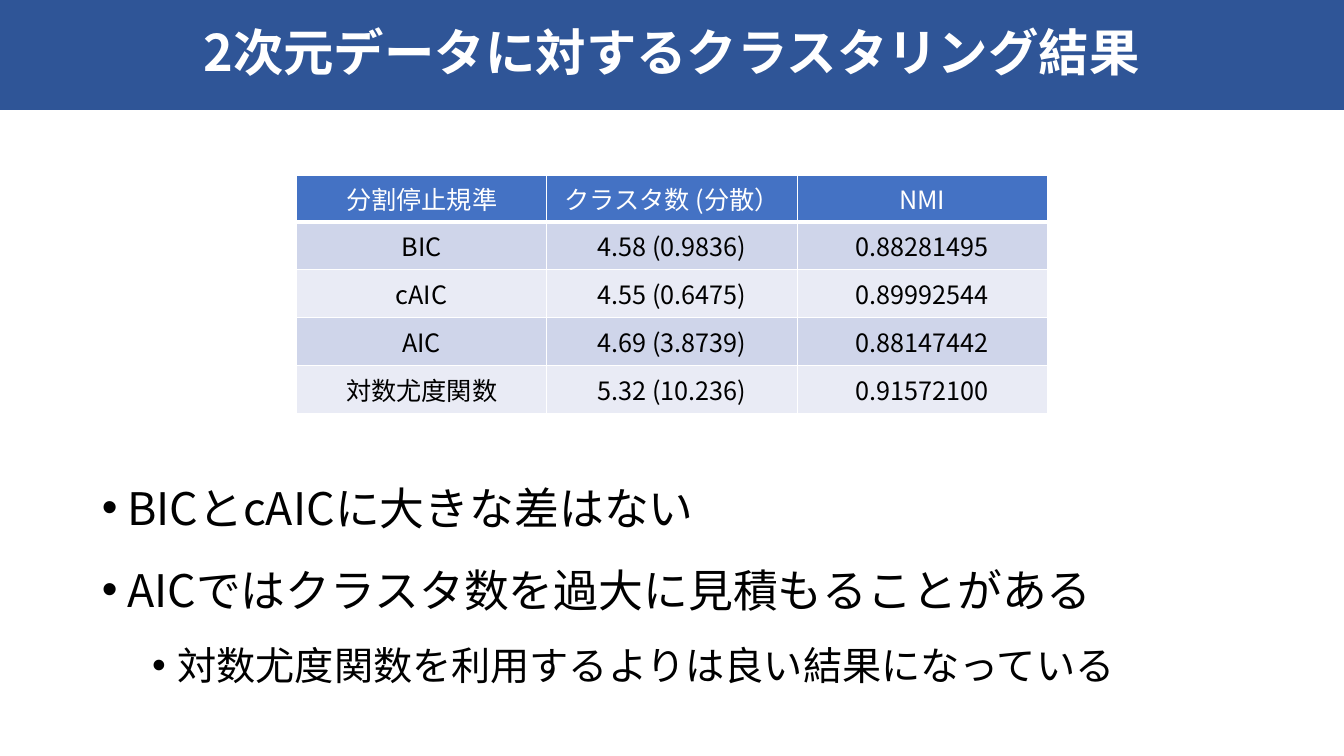
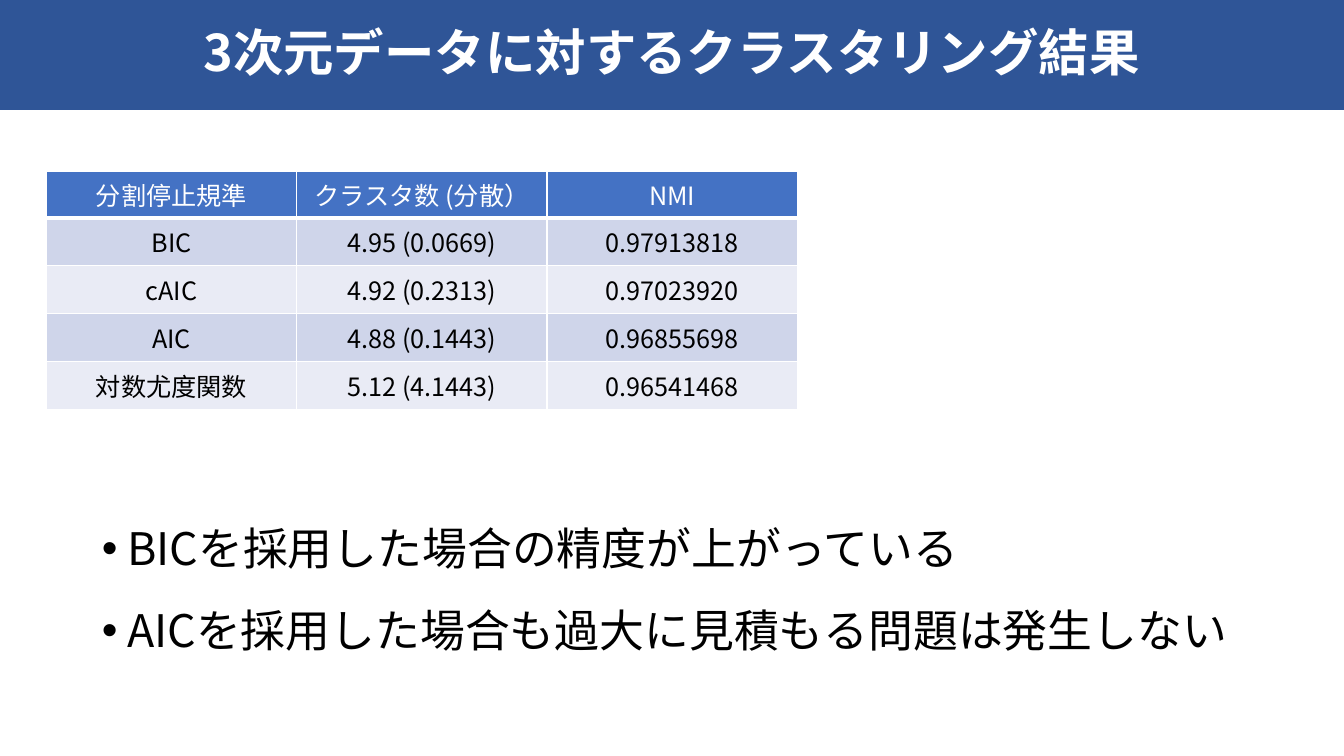
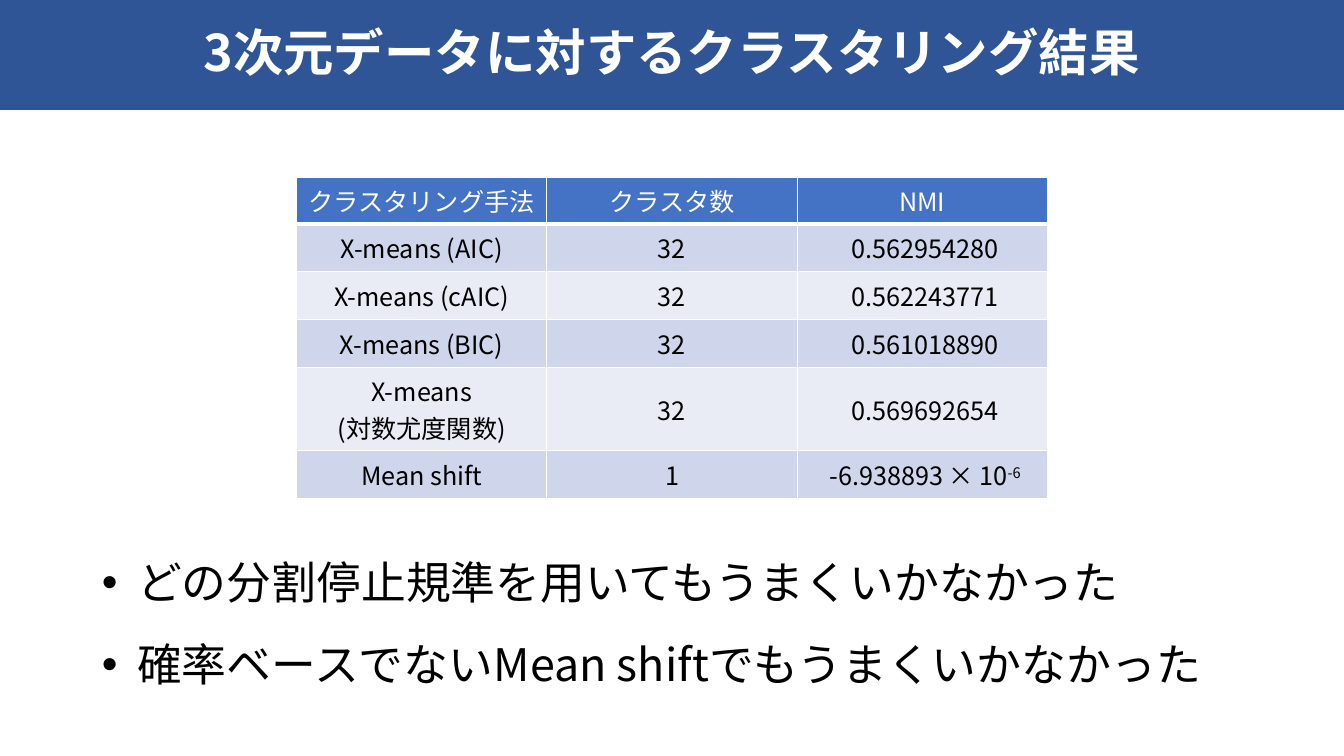
from lxml import etree
from pptx import Presentation
from pptx.dml.color import RGBColor
from pptx.enum.shapes import MSO_SHAPE
from pptx.enum.text import MSO_ANCHOR as ANCHOR, MSO_AUTO_SIZE as AUTO, PP_ALIGN as ALIGN
from pptx.oxml.ns import qn
from pptx.util import Inches, Pt


def rgb(value):
    return RGBColor.from_string(value)


def place(sp, left, top, width, height):
    sp.left, sp.top = Inches(left), Inches(top)
    sp.width, sp.height = Inches(width), Inches(height)


class Deck:
    FONT = "Noto Sans CJK JP"
    WHITE, BLACK = "FFFFFF", "000000"
    BAND, HEADER = "2F5597", "4472C4"
    STRIPES = ("E9EBF5", "CFD5EA")
    MARGIN, CONTENT_W = 0.91, 11.5
    TABLE_W, HEAD_H, ROW_H = 7.45, 0.45, 0.475
    # size and left indent for each list level
    LEVELS = ((32, 0.25), (28, 0.75))

    def __init__(self):
        self.prs = Presentation()
        self.prs.slide_width, self.prs.slide_height = Inches(13.33), Inches(7.5)
        self.layout = self.prs.slide_layouts[1]
        self.slide = None

    def style(self, p, size, color, bold=False):
        for r in p.runs:
            r.font.size, r.font.bold = Pt(size), bold
            r.font.color.rgb = rgb(color)
            r.font.name = self.FONT
            east = etree.SubElement(r._r.get_or_add_rPr(), qn("a:ea"))
            east.set("typeface", self.FONT)

    def band(self):
        """Draw the title band and move it to the back of the shared layout."""
        sp = self.slide.shapes.add_shape(
            MSO_SHAPE.RECTANGLE, 0, 0, self.prs.slide_width, Inches(1.09))
        sp.shadow.inherit = False
        sp.fill.solid()
        sp.fill.fore_color.rgb = rgb(self.BAND)
        sp.line.fill.background()
        self.layout.shapes.element.insert(2, sp.element)

    def new_slide(self, title):
        first = self.slide is None
        self.slide = self.prs.slides.add_slide(self.layout)
        if first:
            self.band()
        sp = self.slide.shapes.title
        place(sp, self.MARGIN, 0.2, self.CONTENT_W, 0.7)
        tf = sp.text_frame
        tf.text = title
        tf.auto_size, tf.vertical_anchor = AUTO.NONE, ANCHOR.MIDDLE
        p = tf.paragraphs[0]
        p.alignment, p.line_spacing = ALIGN.CENTER, 0.9
        self.style(p, 36, self.WHITE, bold=True)

    def bullets(self, top, height, items, hang=0.25):
        """Fill the body with (level, text) items."""
        sp = self.slide.placeholders[1]
        place(sp, self.MARGIN, top, self.CONTENT_W, height)
        tf = sp.text_frame
        tf.text = "\n".join(text for _, text in items)
        tf.auto_size, tf.vertical_anchor = AUTO.NONE, ANCHOR.TOP
        for p, (level, _) in zip(tf.paragraphs, items):
            size, indent = self.LEVELS[level]
            p.level, p.line_spacing, p.space_before = level, 1.5, Pt(1)
            self.style(p, size, self.BLACK)
            pPr = p._p.get_or_add_pPr()
            pPr.set("marL", str(Inches(indent - 0.25 + hang)))
            pPr.set("indent", str(-Inches(hang)))
            etree.SubElement(pPr, qn("a:buFont")).set("typeface", "Arial")
            etree.SubElement(pPr, qn("a:buChar")).set("char", "•")

    def borders(self, cell, top, bottom):
        tcPr = cell._tc.get_or_add_tcPr()
        for side, width in (("L", 1), ("R", 1), ("T", top), ("B", bottom)):
            ln = etree.SubElement(tcPr, qn(f"a:ln{side}"), w=str(Pt(width)))
            fill = etree.SubElement(ln, qn("a:solidFill"))
            etree.SubElement(fill, qn("a:srgbClr"), val=self.WHITE)

    def cell(self, cell, text, row):
        """Write one cell; text after ^ is raised."""
        self.borders(cell, 3 if row == 1 else 1, 1 if row else 3)
        cell.fill.solid()
        cell.fill.fore_color.rgb = rgb(self.STRIPES[row % 2] if row else self.HEADER)
        cell.vertical_anchor = ANCHOR.MIDDLE
        base, _, raised = text.partition("^")
        tf = cell.text_frame
        tf.text = base
        if raised:
            r = tf.paragraphs[-1].add_run()
            r.text = raised
            r._r.get_or_add_rPr().set("baseline", "30000")
        for p in tf.paragraphs:
            p.alignment = ALIGN.CENTER
            self.style(p, 18, self.BLACK if row else self.WHITE)

    def table(self, left, top, rows):
        n_rows, n_cols = len(rows), len(rows[0])
        height = self.HEAD_H + self.ROW_H * (n_rows - 1)
        table = self.slide.shapes.add_table(
            n_rows, n_cols, Inches(left), Inches(top),
            Inches(self.TABLE_W), Inches(height)).table
        table.horz_banding = False
        for col in table.columns:
            col.width = Inches(self.TABLE_W / n_cols)
        for i, row in enumerate(rows):
            table.rows[i].height = Inches(self.ROW_H if i else self.HEAD_H)
            for j, text in enumerate(row):
                self.cell(table.cell(i, j), text, i)


def main():
    deck = Deck()
    title = "{}次元データに対するクラスタリング結果"
    criteria_head = ("分割停止規準", "クラスタ数 (分散）", "NMI")

    # Two-dimensional data
    deck.new_slide(title.format(2))
    deck.table(2.94, 1.74, [
        criteria_head,
        ("BIC", "4.58 (0.9836)", "0.88281495"),
        ("cAIC", "4.55 (0.6475)", "0.89992544"),
        ("AIC", "4.69 (3.8739)", "0.88147442"),
        ("対数尤度関数", "5.32 (10.236)", "0.91572100"),
    ])
    deck.bullets(4.45, 2.67, [
        (0, "BICとcAICに大きな差はない"),
        (0, "AICではクラスタ数を過大に見積もることがある"),
        (1, "対数尤度関数を利用するよりは良い結果になっている"),
    ])

    # Three-dimensional data, stopping criteria
    deck.new_slide(title.format(3))
    deck.table(0.46, 1.7, [
        criteria_head,
        ("BIC", "4.95 (0.0669)", "0.97913818"),
        ("cAIC", "4.92 (0.2313)", "0.97023920"),
        ("AIC", "4.88 (0.1443)", "0.96855698"),
        ("対数尤度関数", "5.12 (4.1443)", "0.96541468"),
    ])
    deck.bullets(4.85, 1.99, [
        (0, "BICを採用した場合の精度が上がっている"),
        (0, "AICを採用した場合も過大に見積もる問題は発生しない"),
    ])

    # Three-dimensional data, clustering methods
    deck.new_slide(title.format(3))
    deck.table(2.94, 1.76, [
        ("クラスタリング手法", "クラスタ数", "NMI"),
        ("X-means (AIC)", "32", " 0.562954280"),
        ("X-means (cAIC)", "32", " 0.562243771"),
        ("X-means (BIC)", "32", " 0.561018890"),
        ("X-means\n(対数尤度関数)", "32", " 0.569692654"),
        ("Mean shift", "1", " -6.938893 × 10^-6"),
    ])
    deck.bullets(5.19, 1.76, [
        (0, "どの分割停止規準を用いてもうまくいかなかった"),
        (0, "確率ベースでないMean shiftでもうまくいかなかった"),
    ], hang=0.35)

    deck.prs.save("out.pptx")


if __name__ == "__main__":
    main()
